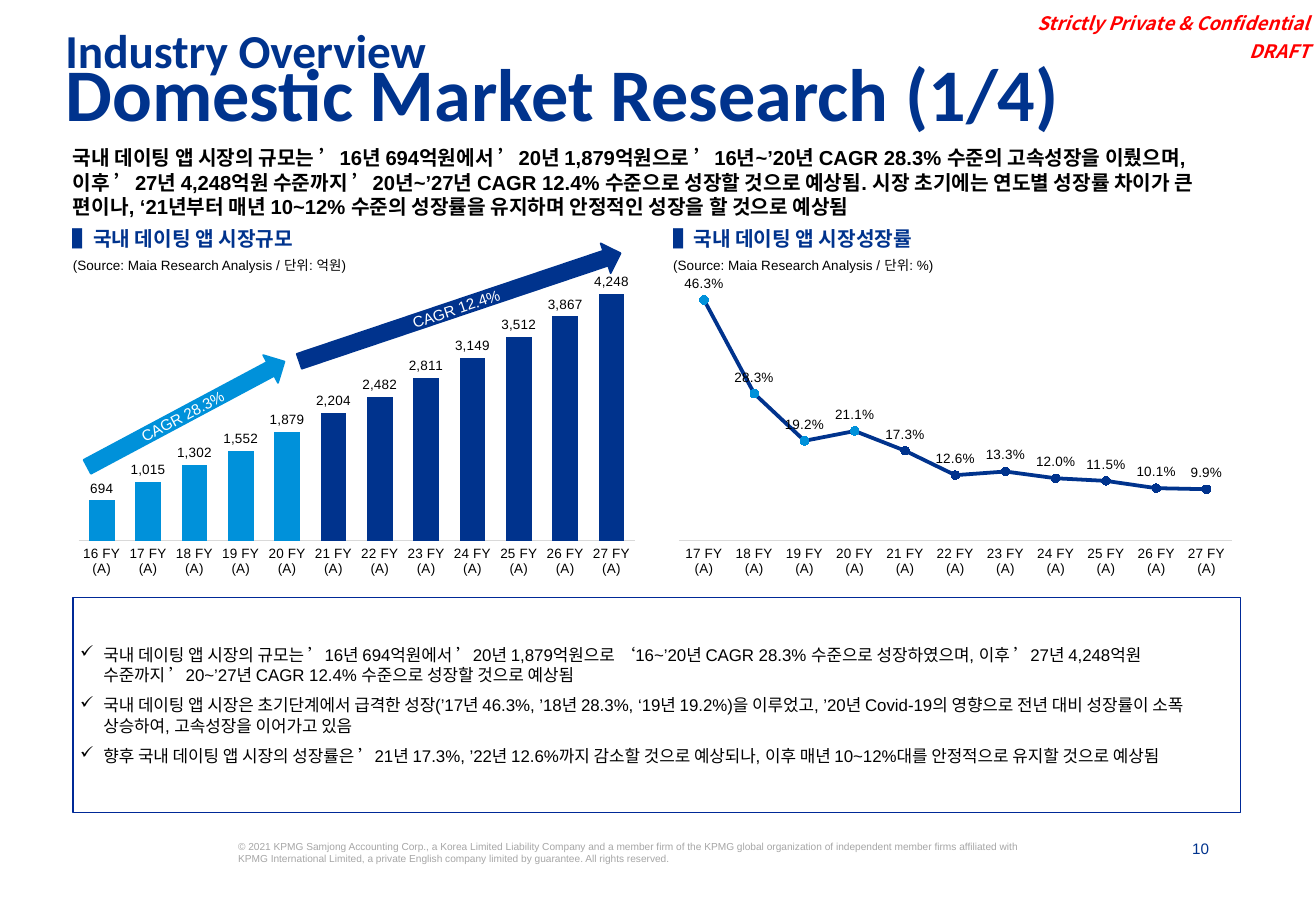
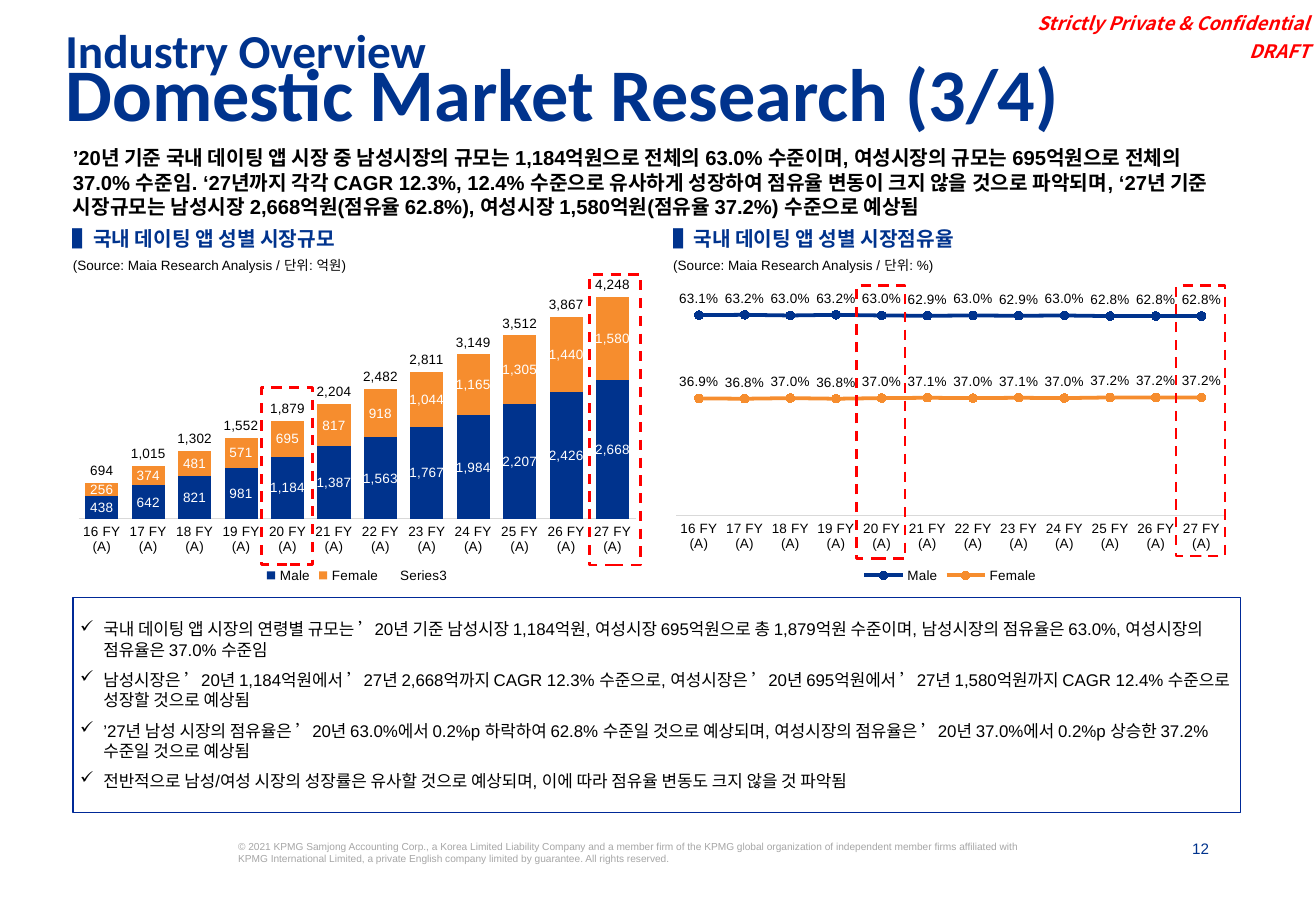
from copy import deepcopy

from lxml import etree
from pptx import Presentation
from pptx.chart.data import CategoryChartData
from pptx.dml.color import RGBColor
from pptx.enum.chart import (XL_CHART_TYPE, XL_LABEL_POSITION, XL_LEGEND_POSITION,
                             XL_MARKER_STYLE, XL_TICK_MARK)
from pptx.enum.dml import MSO_LINE
from pptx.enum.shapes import MSO_SHAPE
from pptx.enum.text import MSO_ANCHOR, PP_ALIGN
from pptx.oxml import parse_xml
from pptx.oxml.ns import qn
from pptx.util import Pt

PX = 9144
COLUMN, STACKED, LINE = (XL_CHART_TYPE.COLUMN_CLUSTERED, XL_CHART_TYPE.COLUMN_STACKED,
                         XL_CHART_TYPE.LINE_MARKERS)
ABOVE, CENTER_LABEL, OUTSIDE = (XL_LABEL_POSITION.ABOVE, XL_LABEL_POSITION.CENTER,
                                XL_LABEL_POSITION.OUTSIDE_END)
LEGEND_BOTTOM = XL_LEGEND_POSITION.BOTTOM
CIRCLE, NO_MARKER = XL_MARKER_STYLE.CIRCLE, XL_MARKER_STYLE.NONE
NO_TICK = XL_TICK_MARK.NONE
DASH = MSO_LINE.DASH
RECTANGLE, RIGHT_ARROW = MSO_SHAPE.RECTANGLE, MSO_SHAPE.RIGHT_ARROW
TOP, MIDDLE, BOTTOM = MSO_ANCHOR.TOP, MSO_ANCHOR.MIDDLE, MSO_ANCHOR.BOTTOM
LEFT, CENTER, RIGHT = PP_ALIGN.LEFT, PP_ALIGN.CENTER, PP_ALIGN.RIGHT

COLORS = {"navy": "00338D", "sky": "0091DA", "orange": "F68D2E", "frame": "002997",
          "red": "FF0000", "black": "000000", "white": "FFFFFF",
          "grey": "A6A6A6", "axis": "D9D9D9"}
BODY_FONT, TITLE_FONT, KOREAN_FONT = "Arial", "Calibri", "Noto Sans CJK KR"
COLUMNS = (60, 554)
COUNT, PERCENT = "#,##0", "0.0%"
YEARS = [f"{year} FY (A)" for year in range(16, 28)]
COPYRIGHT = ("© 2021 KPMG Samjong Accounting Corp., a Korea Limited Liability Company and a member "
             "firm of the KPMG global organization of independent member firms affiliated with "
             "KPMG International Limited, a private English company limited by guarantee. "
             "All rights reserved.")


def rgb(name):
    return RGBColor.from_string(COLORS[name])


def emu(lengths):
    return [length * PX for length in lengths]


def style_font(font, size, color, name=BODY_FONT):
    font.size, font.name = Pt(size), name
    font.color.rgb = rgb(color)


def add_bullet(para, mark, indent):
    properties = para._p.get_or_add_pPr()
    properties.set("marL", str(indent * PX))
    properties.set("indent", str(-indent * PX))
    etree.SubElement(properties, qn("a:buChar")).set("char", mark)


def write_text(box, texts, size, color="black", font=BODY_FONT, bold=False, italic=False,
               align=LEFT, anchor=TOP, insets=(0, 0, 0, 0), spacing=None, gap=0, bullet=None):
    frame = box.text_frame
    frame.word_wrap = True
    frame.vertical_anchor = anchor
    (frame.margin_left, frame.margin_top,
     frame.margin_right, frame.margin_bottom) = emu(insets)
    for index, text in enumerate(texts):
        para = frame.add_paragraph() if index else frame.paragraphs[0]
        if bullet:
            add_bullet(para, bullet, 19)
        para.alignment = align
        para.line_spacing = spacing
        para.space_before = Pt(gap if index else 0)
        span = para.add_run()
        span.text = text
        style_font(span.font, size, color, font)
        span.font.bold, span.font.italic = bold, italic
        properties = span._r.get_or_add_rPr()
        etree.SubElement(properties, qn("a:ea")).set("typeface", KOREAN_FONT)


def add_text(page, area, texts, size, **style):
    write_text(page.shapes.add_textbox(*emu(area)), texts, size, **style)


def add_box(page, kind, area, line, width, fill=None):
    box = page.shapes.add_shape(kind, *emu(area))
    box.shadow.inherit = False
    if fill:
        box.fill.solid()
        box.fill.fore_color.rgb = rgb(fill)
    else:
        box.fill.background()
    box.line.color.rgb = rgb(line)
    box.line.width = Pt(width)
    return box


def add_growth_arrow(page, area, angle, color, text):
    arrow = add_box(page, RIGHT_ARROW, area, color, 1, fill=color)
    arrow.rotation = angle
    write_text(arrow, [text], 9, color="white", align=CENTER, anchor=MIDDLE)


def add_highlight(page, area):
    add_box(page, RECTANGLE, area, "red", 1.5).line.dash_style = DASH


def place_plot(chart, fractions):
    plot_area = chart._chartSpace.chart.plotArea
    for old in plot_area.findall(qn("c:layout")):
        plot_area.remove(old)
    layout = etree.Element(qn("c:layout"))
    manual = etree.SubElement(layout, qn("c:manualLayout"))
    settings = [("layoutTarget", "inner"), ("xMode", "edge"), ("yMode", "edge"),
                *zip("xywh", fractions)]
    for tag, value in settings:
        etree.SubElement(manual, qn(f"c:{tag}")).set("val", str(value))
    plot_area.insert(0, layout)


def add_chart(page, kind, area, categories, series, number_format, maximum, plot, legend=False):
    data = CategoryChartData(number_format=number_format)
    data.categories = categories
    for name, values in series:
        data.add_series(name, values)
    chart = page.shapes.add_chart(kind, *emu(area), data).chart
    chart.has_title = False
    style_font(chart.font, 8, "black")
    chart.plots[0].vary_by_categories = False
    chart.has_legend = legend
    if legend:
        chart.legend.position = LEGEND_BOTTOM
        chart.legend.include_in_layout = False
        style_font(chart.legend.font, 8, "black")
    values_axis, years_axis = chart.value_axis, chart.category_axis
    values_axis.minimum_scale, values_axis.maximum_scale = 0, maximum
    values_axis.has_major_gridlines = False
    values_axis.visible = False
    years_axis.major_tick_mark = NO_TICK
    years_axis.format.line.color.rgb = rgb("axis")
    years_axis.format.line.width = Pt(0.75)
    style_font(years_axis.tick_labels.font, 8, "black")
    place_plot(chart, plot)
    return chart


def label_series(series, number_format, position, color="black"):
    labels = series.data_labels
    labels.show_value = True
    labels.number_format, labels.number_format_is_linked = number_format, False
    labels.position = position
    style_font(labels.font, 8, color)


def fill_with(part, color):
    part.format.fill.solid()
    part.format.fill.fore_color.rgb = rgb(color)


def color_marker(marker, color):
    fill_with(marker, color)
    marker.format.line.color.rgb = rgb(color)


def style_line(series, color):
    series.smooth = False
    series.format.line.color.rgb = rgb(color)
    series.format.line.width = Pt(2.25)
    series.marker.style, series.marker.size = CIRCLE, 5
    color_marker(series.marker, color)
    label_series(series, PERCENT, ABOVE)


def move_last_series_to_line(chart):
    bars = chart.plots[0]._element
    moved = bars.findall(qn("c:ser"))[-1]
    for flag in moved.findall(qn("c:invertIfNegative")):
        moved.remove(flag)
    namespace = "http://schemas.openxmlformats.org/drawingml/2006/chart"
    lines = parse_xml(f'<c:lineChart xmlns:c="{namespace}"><c:grouping val="standard"/>'
                      '<c:varyColors val="0"/><c:marker val="1"/></c:lineChart>')
    lines.insert(2, moved)
    for axis in bars.findall(qn("c:axId")):
        lines.append(deepcopy(axis))
    bars.addnext(lines)
    return chart.plots[1].series[0]


def add_frame(deck, number, part, summary, headings, findings):
    page = deck.slides.add_slide(deck.slide_layouts[6])
    add_text(page, (952, 691, 43, 16), [number], 9, color="navy", align=RIGHT)
    add_text(page, (832, 0, 250, 55), ["Strictly Private & Confidential", "DRAFT"], 11,
             color="red", font=KOREAN_FONT, bold=True, italic=True, align=RIGHT,
             anchor=BOTTOM, insets=(0, 4, 4, 4), gap=3)
    add_text(page, (196, 692, 653, 50), [COPYRIGHT], 6, color="grey")
    for area, text, size in (((44, 54, 940, 64), f"Domestic Market Research ({part}/4)", 44),
                             ((44, 25, 940, 30), "Industry Overview", 28)):
        add_text(page, area, [text], size, color="navy", font=TITLE_FONT, bold=True,
                 insets=(10, 5, 10, 5), spacing=0.7)
    add_text(page, (60, 120, 961, 54), [summary], 12, bold=True)
    for left, heading, unit in zip(COLUMNS, headings, ("억원", "%")):
        add_text(page, (left, 175, 412, 39), [f"▌{heading}"], 12, color="navy", bold=True,
                 anchor=MIDDLE, spacing=1.2)
        add_text(page, (left, 212, 468, 14),
                 [f"(Source: Maia Research Analysis / 단위: {unit})"], 8)
    box = add_box(page, RECTANGLE, (60, 492, 961, 177), "frame", 1)
    write_text(box, findings, 10, anchor=MIDDLE, insets=(6, 6, 6, 6), spacing=Pt(12),
               gap=6, bullet="✓")
    return page


def build_market_page(deck):
    page = add_frame(
        deck, "10", 1,
        "국내 데이팅 앱 시장의 규모는 ’16년 694억원에서 ’20년 1,879억원으로 ’16년~’20년 CAGR 28.3% 수준의 "
        "고속성장을 이뤘으며, 이후 ’27년 4,248억원 수준까지 ’20년~’27년 CAGR 12.4% 수준으로 성장할 것으로 예상됨. "
        "시장 초기에는 연도별 성장률 차이가 큰 편이나, ‘21년부터 매년 10~12% 수준의 성장률을 유지하며 "
        "안정적인 성장을 할 것으로 예상됨",
        ("국내 데이팅 앱 시장규모", "국내 데이팅 앱 시장성장률"),
        ["국내 데이팅 앱 시장의 규모는 ’16년 694억원에서 ’20년 1,879억원으로 ‘16~’20년 CAGR 28.3% 수준으로 "
         "성장하였으며, 이후 ’27년 4,248억원 수준까지 ’20~’27년 CAGR 12.4% 수준으로 성장할 것으로 예상됨",
         "국내 데이팅 앱 시장은 초기단계에서 급격한 성장(’17년 46.3%, ’18년 28.3%, ‘19년 19.2%)을 이루었고, "
         "’20년 Covid-19의 영향으로 전년 대비 성장률이 소폭 상승하여, 고속성장을 이어가고 있음",
         "향후 국내 데이팅 앱 시장의 성장률은 ’21년 17.3%, ’22년 12.6%까지 감소할 것으로 예상되나, "
         "이후 매년 10~12%대를 안정적으로 유지할 것으로 예상됨"])

    sizes = (694, 1015, 1302, 1552, 1879, 2204, 2482, 2811, 3149, 3512, 3867, 4248)
    chart = add_chart(page, COLUMN, (60, 225, 467, 259), YEARS, [("Series 1", sizes)],
                      COUNT, 4500, (0.01, 0.02, 0.98, 0.83))
    chart.plots[0].gap_width, chart.plots[0].overlap = 80, -27
    bars = chart.plots[0].series[0]
    fill_with(bars, "navy")
    for index in range(5):
        fill_with(bars.points[index], "sky")
    label_series(bars, COUNT, OUTSIDE)
    add_growth_arrow(page, (61, 328, 184, 26), 331.9, "sky", "CAGR 28.3%")
    add_growth_arrow(page, (239, 240, 279, 26), 341.4, "navy", "CAGR 12.4%")

    rates = (0.463, 0.283, 0.192, 0.211, 0.173, 0.126, 0.133, 0.12, 0.115, 0.101, 0.099)
    chart = add_chart(page, LINE, (554, 226, 469, 258), YEARS[1:], [("Series 1", rates)],
                      PERCENT, 0.5, (0.01, 0.02, 0.97, 0.83))
    growth = chart.plots[0].series[0]
    style_line(growth, "navy")
    for index in range(4):
        point = growth.points[index]
        point.marker.style, point.marker.size = CIRCLE, 5
        color_marker(point.marker, "sky")
        point.format.line.color.rgb = rgb("sky")


def build_gender_page(deck):
    page = add_frame(
        deck, "12", 3,
        "’20년 기준 국내 데이팅 앱 시장 중 남성시장의 규모는 1,184억원으로 전체의 63.0% 수준이며, 여성시장의 규모는 "
        "695억원으로 전체의 37.0% 수준임. ‘27년까지 각각 CAGR 12.3%, 12.4% 수준으로 유사하게 성장하여 점유율 변동이 "
        "크지 않을 것으로 파악되며, ‘27년 기준 시장규모는 남성시장 2,668억원(점유율 62.8%), "
        "여성시장 1,580억원(점유율 37.2%) 수준으로 예상됨",
        ("국내 데이팅 앱 성별 시장규모", "국내 데이팅 앱 성별 시장점유율"),
        ["국내 데이팅 앱 시장의 연령별 규모는 ’20년 기준 남성시장 1,184억원, 여성시장 695억원으로 총 1,879억원 "
         "수준이며, 남성시장의 점유율은 63.0%, 여성시장의 점유율은 37.0% 수준임",
         "남성시장은 ’20년 1,184억원에서 ’27년 2,668억까지 CAGR 12.3% 수준으로, 여성시장은 ’20년 695억원에서 "
         "’27년 1,580억원까지 CAGR 12.4% 수준으로 성장할 것으로 예상됨",
         "’27년 남성 시장의 점유율은 ’20년 63.0%에서 0.2%p 하락하여 62.8% 수준일 것으로 예상되며, "
         "여성시장의 점유율은 ’20년 37.0%에서 0.2%p 상승한 37.2% 수준일 것으로 예상됨",
         "전반적으로 남성/여성 시장의 성장률은 유사할 것으로 예상되며, 이에 따라 점유율 변동도 크지 않을 것 파악됨"])

    shares = [("Male", (0.631, 0.632, 0.63, 0.632, 0.63, 0.629,
                        0.63, 0.629, 0.63, 0.628, 0.628, 0.628)),
              ("Female", (0.369, 0.368, 0.37, 0.368, 0.37, 0.371,
                          0.37, 0.371, 0.37, 0.372, 0.372, 0.372))]
    chart = add_chart(page, LINE, (542, 226, 480, 258), YEARS, shares, PERCENT, 0.7,
                      (0.03, 0.06, 0.94, 0.71), legend=True)
    for series, color in zip(chart.plots[0].series, ("navy", "orange")):
        style_line(series, color)

    sizes = [("Male", (438, 642, 821, 981, 1184, 1387, 1563, 1767, 1984, 2207, 2426, 2668)),
             ("Female", (256, 374, 481, 571, 695, 817, 918, 1044, 1165, 1305, 1440, 1580)),
             ("Series3", (694, 1015, 1302, 1552, 1879, 2204,
                          2482, 2811, 3149, 3512, 3867, 4248))]
    chart = add_chart(page, STACKED, (60, 226, 468, 258), YEARS, sizes, COUNT, 4500,
                      (0.01, 0.03, 0.98, 0.75), legend=True)
    chart.plots[0].gap_width, chart.plots[0].overlap = 40, 100
    total = move_last_series_to_line(chart)
    total.smooth = False
    total.format.line.fill.background()
    total.marker.style = NO_MARKER
    label_series(total, COUNT, ABOVE)
    for series, color in zip(chart.plots[0].series, ("navy", "orange")):
        fill_with(series, color)
        label_series(series, COUNT, CENTER_LABEL, "white")

    for area in ((215, 319, 42, 146), (485, 226, 42, 239),
                 (705, 235, 40, 225), (968, 235, 40, 223)):
        add_highlight(page, area)


def main():
    deck = Presentation()
    deck.slide_width, deck.slide_height = emu((1083, 750))
    build_market_page(deck)
    build_gender_page(deck)
    deck.save("out.pptx")


if __name__ == "__main__":
    main()
